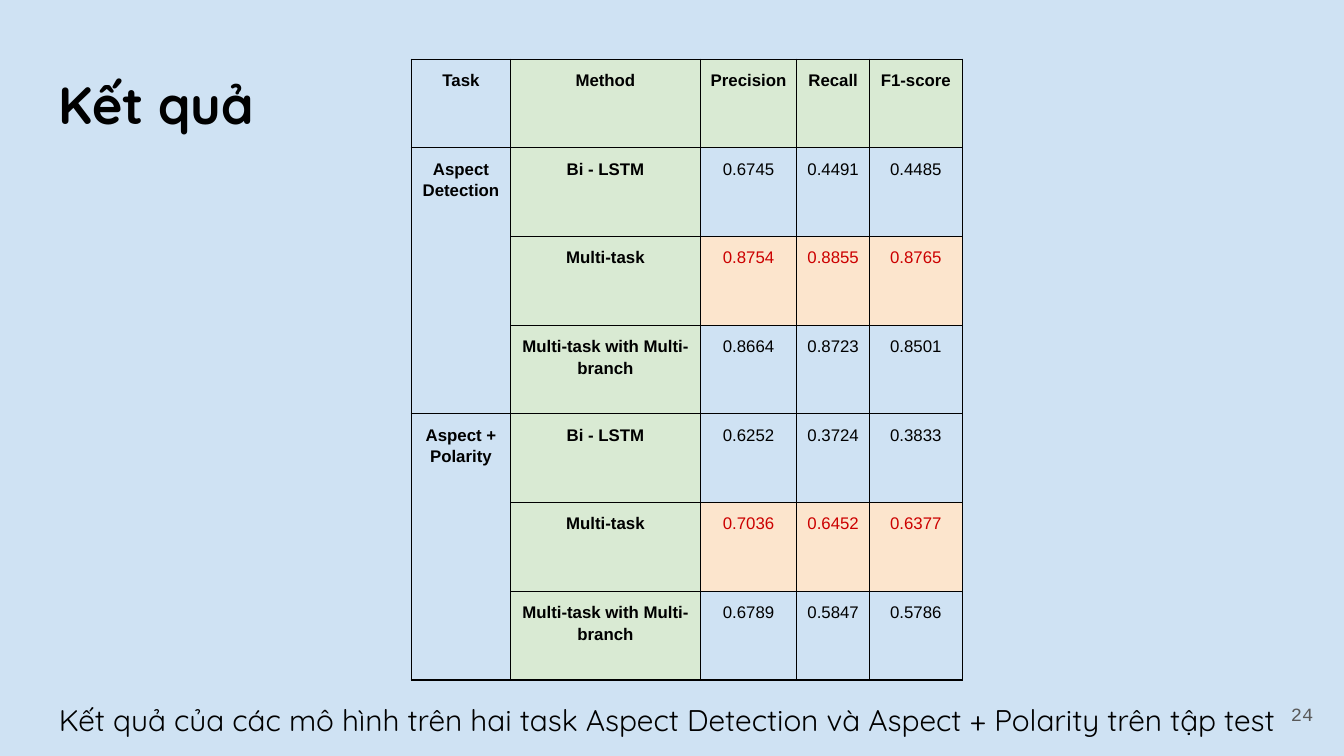
import dataclasses

import lxml.etree
import pptx
import pptx.dml.color
import pptx.enum.text
import pptx.oxml.ns
import pptx.util

Inches, Pt = pptx.util.Inches, pptx.util.Pt
RGB = pptx.dml.color.RGBColor.from_string
ALIGN = pptx.enum.text.PP_ALIGN
ANCHOR = pptx.enum.text.MSO_ANCHOR
qn = pptx.oxml.ns.qn


@dataclasses.dataclass(frozen=True)
class Theme:
    background: str = "CFE2F3"
    text: str = "000000"
    muted: str = "595959"
    best: str = "CC0000"
    label_fill: str = "D9EAD3"
    best_fill: str = "FCE5CD"
    heading_font: str = "Quicksand"
    table_font: str = "Arial"
    number_font: str = "Courier New"
    title_size: float = 28
    caption_size: float = 16
    number_size: float = 10
    table_size: float = 9
    border: float = 0.75


THEME = Theme()
WIDTH = 10
HEIGHT = WIDTH * 9 / 16
MARGIN, TOP = 0.34, 0.44
CONTENT_WIDTH = WIDTH - 2 * MARGIN

# Results: each task owns a group of method rows
HEADER = ["Task", "Method", "Precision", "Recall", "F1-score"]
RESULTS = {
    "Aspect Detection": [
        ("Bi - LSTM", "0.6745", "0.4491", "0.4485"),
        ("Multi-task", "0.8754", "0.8855", "0.8765"),
        ("Multi-task with Multi-branch", "0.8664", "0.8723", "0.8501"),
    ],
    "Aspect + Polarity": [
        ("Bi - LSTM", "0.6252", "0.3724", "0.3833"),
        ("Multi-task", "0.7036", "0.6452", "0.6377"),
        ("Multi-task with Multi-branch", "0.6789", "0.5847", "0.5786"),
    ],
}
BEST_METHOD = "Multi-task"
COLUMN_WIDTHS = [0.74, 1.41, 0.72, 0.54, 0.69]
ROW_HEIGHT = 0.66


def write_text(tf, text, font, size, color, bold=False, align=ALIGN.LEFT):
    tf.text = text
    p = tf.paragraphs[0]
    p.alignment = align
    r = p.runs[0]
    r.font.name, r.font.size, r.font.bold = font, Pt(size), bold
    r.font.color.rgb = RGB(color)
    return p


def add_text(s, box, text, font, size, color, anchor=ANCHOR.TOP, **style):
    tf = s.shapes.add_textbox(*map(Inches, box)).text_frame
    tf.word_wrap = True
    tf.vertical_anchor = anchor
    tf.margin_left = tf.margin_right = tf.margin_top = tf.margin_bottom = Inches(0.1)
    return write_text(tf, text, font, size, color, **style)


def add_borders(cell):
    tc_pr = cell._tc.get_or_add_tcPr()
    for side in ("a:lnL", "a:lnR", "a:lnT", "a:lnB"):
        ln = lxml.etree.SubElement(tc_pr, qn(side), w=str(Pt(THEME.border)))
        fill = lxml.etree.SubElement(ln, qn("a:solidFill"))
        lxml.etree.SubElement(fill, qn("a:srgbClr"), val=THEME.text)


def style_cell(cell, fill=None):
    add_borders(cell)
    cell.margin_left = cell.margin_right = Inches(0.07)
    cell.margin_top = cell.margin_bottom = Inches(0.07)
    if fill:
        cell.fill.solid()
        cell.fill.fore_color.rgb = RGB(fill)
    else:
        cell.fill.background()


def write_cell(cell, text, color=THEME.text, bold=True):
    p = write_text(cell.text_frame, text, THEME.table_font, THEME.table_size,
                   color, bold, ALIGN.CENTER)
    p.line_spacing = 1.15
    p.space_before = p.space_after = Pt(6)


def add_results_table(s, left, top):
    row_count = 1 + sum(len(group) for group in RESULTS.values())
    table = s.shapes.add_table(
        row_count, len(HEADER), Inches(left), Inches(top),
        Inches(sum(COLUMN_WIDTHS)), Inches(row_count * ROW_HEIGHT)).table
    table.first_row = table.horz_banding = False
    for column, width in zip(table.columns, COLUMN_WIDTHS):
        column.width = Inches(width)

    # Header row
    for col, text in enumerate(HEADER):
        style_cell(table.cell(0, col), THEME.label_fill if col else None)
        write_cell(table.cell(0, col), text)

    # One merged task cell beside its method rows
    row = 1
    for task, group in RESULTS.items():
        task_cell = table.cell(row, 0)
        task_cell.merge(table.cell(row + len(group) - 1, 0))
        write_cell(task_cell, task)
        for method, *scores in group:
            style_cell(table.cell(row, 0))
            style_cell(table.cell(row, 1), THEME.label_fill)
            write_cell(table.cell(row, 1), method)
            best = method == BEST_METHOD
            for col, score in enumerate(scores, start=2):
                style_cell(table.cell(row, col), THEME.best_fill if best else None)
                write_cell(table.cell(row, col), score,
                           THEME.best if best else THEME.text, bold=False)
            row += 1


def main():
    prs = pptx.Presentation()
    prs.slide_width, prs.slide_height = Inches(WIDTH), Inches(HEIGHT)
    s = prs.slides.add_slide(prs.slide_layouts[6])
    s.background.fill.solid()
    s.background.fill.fore_color.rgb = RGB(THEME.background)

    # Title
    add_text(s, (MARGIN, TOP, CONTENT_WIDTH, 0.63), "Kết quả",
             THEME.heading_font, THEME.title_size, THEME.text, bold=True)

    # Slide number
    add_text(s, (9.27, 5.1, 0.6, 0.43), "24", THEME.number_font,
             THEME.number_size, THEME.muted, ANCHOR.MIDDLE, align=ALIGN.RIGHT)

    # Caption
    p = add_text(s, (MARGIN, 5.08, CONTENT_WIDTH, 0.47),
                 "Kết quả của các mô hình trên hai task Aspect Detection và "
                 "Aspect + Polarity trên tập test",
                 THEME.heading_font, THEME.caption_size, THEME.text)
    p.line_spacing = 1.15
    p.space_after = Pt(16)

    # Results table
    add_results_table(s, 3.06, TOP)

    prs.save("out.pptx")


if __name__ == "__main__":
    main()
